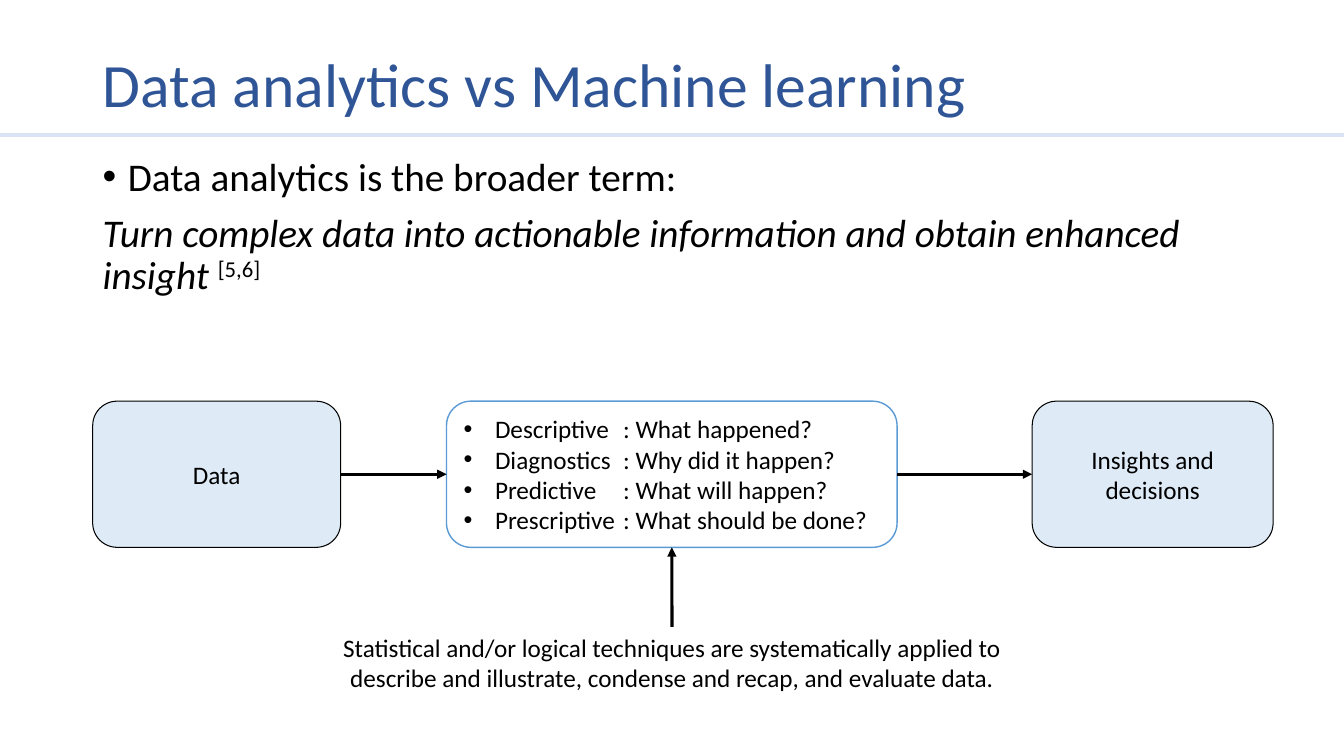
from lxml.etree import SubElement
from pptx import Presentation
from pptx.dml.color import RGBColor
from pptx.enum.shapes import MSO_CONNECTOR, MSO_SHAPE
from pptx.enum.text import MSO_ANCHOR, PP_ALIGN
from pptx.oxml.ns import qn
from pptx.util import Pt

TITLE = "Data analytics vs Machine learning"
BROADER_TERM = "Data analytics is the broader term:"
DEFINITION = "Turn complex data into actionable information and obtain enhanced insight "
CITATION = "[5,6]"
QUESTIONS = [
    ("Descriptive", "What happened?"),
    ("Diagnostics", "Why did it happen?"),
    ("Predictive", "What will happen?"),
    ("Prescriptive", "What should be done?"),
]
CAPTION = ("Statistical and/or logical techniques are systematically applied to "
           "describe and illustrate, condense and recap, and evaluate data.")

THEME = {
    "font": "Calibri",
    "title": "2F5597", "text": "000000", "rule": "DAE3F3",
    "box": "DEEBF7", "paper": "FFFFFF", "accent": "5B9BD5",
    "title_size": 44, "body_size": 28, "label_size": 18,
    "line_width": 2.25,
}

WIDTH, HEIGHT = 960, 540
LEFT, CONTENT_WIDTH = 66.24, 828
RULE_Y = 96.48
FLOW_TOP, FLOW_HEIGHT = 286.56, 104.4
CAPTION_WIDTH = 543.6
FLOW = [
    {"left": LEFT, "width": 177.12, "lines": ["Data"],
     "fill": "box", "line": "text", "weight": 0.75},
    {"left": 318.96, "width": 321.84,
     "lines": [f"{kind}\t: {question}" for kind, question in QUESTIONS],
     "fill": "paper", "line": "accent", "weight": 1,
     "bullet": 22.5, "tab": 114},
    {"left": 737.28, "width": 172.08, "lines": ["Insights and decisions"],
     "fill": "box", "line": "text", "weight": 0.75},
]
TOP_SITE, LEFT_SITE, BOTTOM_SITE, RIGHT_SITE = range(4)


def color(name):
    return RGBColor.from_string(THEME[name])


def add_run(paragraph, text, size, ink="text", italic=False):
    run = paragraph.add_run()
    run.text = text
    run.font.color.rgb = color(ink)
    formats = {"name": THEME["font"], "size": Pt(THEME[size]), "italic": italic}
    for name, value in formats.items():
        setattr(run.font, name, value)
    return run


def format_paragraph(paragraph, **formats):
    for name, value in formats.items():
        setattr(paragraph, name, value)


def add_bullet(paragraph, indent, tab=None):
    properties = paragraph._p.get_or_add_pPr()
    properties.set("marL", str(Pt(indent)))
    properties.set("indent", str(-Pt(indent)))
    SubElement(properties, qn("a:buFont"), typeface="Arial")
    SubElement(properties, qn("a:buChar"), char="•")
    if tab:
        stops = SubElement(properties, qn("a:tabLst"))
        SubElement(stops, qn("a:tab"), pos=str(Pt(tab)), algn="l")


def add_text_box(slide, left, top, width, height, anchor=MSO_ANCHOR.TOP):
    box = slide.shapes.add_textbox(Pt(left), Pt(top), Pt(width), Pt(height))
    box.text_frame.word_wrap = True
    box.text_frame.vertical_anchor = anchor
    return box


def add_line(slide, ink):
    line = slide.shapes.add_connector(MSO_CONNECTOR.STRAIGHT, 0, Pt(RULE_Y), Pt(WIDTH), Pt(RULE_Y))
    line.line.color.rgb = color(ink)
    line.line.width = Pt(THEME["line_width"])
    SubElement(line._element.spPr, qn("a:effectLst"))
    return line


def add_arrow(slide, source, source_site, target, target_site):
    arrow = add_line(slide, "text")
    arrow.begin_connect(source, source_site)
    arrow.end_connect(target, target_site)
    SubElement(arrow.line._get_or_add_ln(), qn("a:tailEnd"), type="triangle")


def add_flow_box(slide, item):
    shape = slide.shapes.add_shape(
        MSO_SHAPE.ROUNDED_RECTANGLE, Pt(item["left"]), Pt(FLOW_TOP),
        Pt(item["width"]), Pt(FLOW_HEIGHT))
    shape.shadow.inherit = False
    shape.fill.solid()
    shape.fill.fore_color.rgb = color(item["fill"])
    shape.line.color.rgb = color(item["line"])
    shape.line.width = Pt(item["weight"])
    frame = shape.text_frame
    frame.word_wrap = True
    frame.vertical_anchor = MSO_ANCHOR.MIDDLE
    for index, text in enumerate(item["lines"]):
        paragraph = frame.add_paragraph() if index else frame.paragraphs[0]
        bulleted = "bullet" in item
        paragraph.alignment = PP_ALIGN.LEFT if bulleted else PP_ALIGN.CENTER
        if bulleted:
            add_bullet(paragraph, item["bullet"], item["tab"])
        add_run(paragraph, text, "label_size")
    return shape


def add_heading(slide):
    add_line(slide, "rule")
    box = add_text_box(slide, LEFT, 28.8, CONTENT_WIDTH, 67.68, MSO_ANCHOR.MIDDLE)
    paragraph = box.text_frame.paragraphs[0]
    format_paragraph(paragraph, line_spacing=0.9)
    add_run(paragraph, TITLE, "title_size", "title")


def add_body(slide):
    frame = add_text_box(slide, LEFT, 108.72, CONTENT_WIDTH, 371.52).text_frame
    term, definition = frame.paragraphs[0], frame.add_paragraph()
    for paragraph in (term, definition):
        format_paragraph(paragraph, line_spacing=0.9, space_before=Pt(10))
    add_bullet(term, 18)
    add_run(term, BROADER_TERM, "body_size")
    add_run(definition, DEFINITION, "body_size", italic=True)
    citation = add_run(definition, CITATION, "body_size")
    citation._r.get_or_add_rPr().set("baseline", "30000")


def add_flow(slide):
    data, analytics, insights = [add_flow_box(slide, item) for item in FLOW]
    caption = add_text_box(slide, (WIDTH - CAPTION_WIDTH) / 2, 447.84, CAPTION_WIDTH, 51.12)
    paragraph = caption.text_frame.paragraphs[0]
    format_paragraph(paragraph, alignment=PP_ALIGN.CENTER)
    add_run(paragraph, CAPTION, "label_size")
    add_arrow(slide, data, RIGHT_SITE, analytics, LEFT_SITE)
    add_arrow(slide, analytics, RIGHT_SITE, insights, LEFT_SITE)
    add_arrow(slide, caption, TOP_SITE, analytics, BOTTOM_SITE)


def main():
    presentation = Presentation()
    presentation.slide_width, presentation.slide_height = Pt(WIDTH), Pt(HEIGHT)
    slide = presentation.slides.add_slide(presentation.slide_layouts[6])
    add_heading(slide)
    add_body(slide)
    add_flow(slide)
    presentation.save("out.pptx")


if __name__ == "__main__":
    main()
